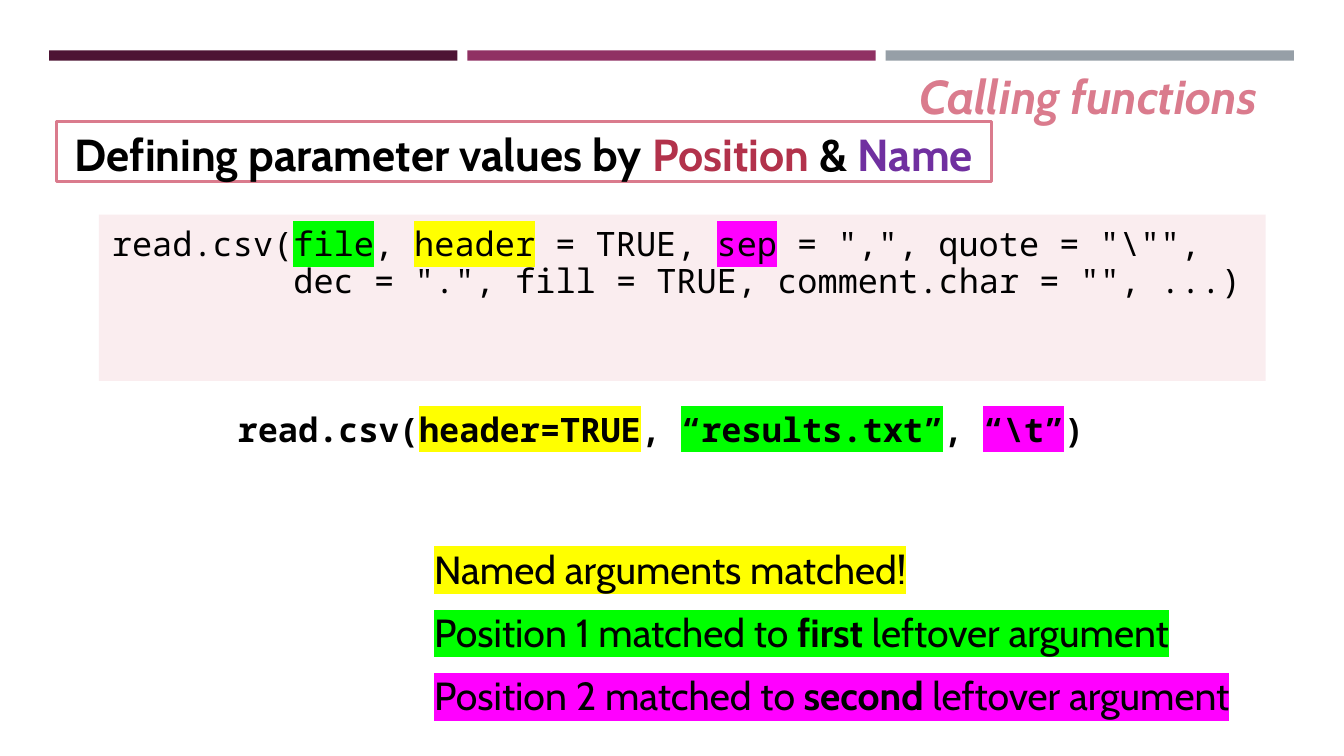
from lxml.etree import SubElement
from pptx import Presentation
from pptx.dml.color import RGBColor
from pptx.enum.shapes import MSO_SHAPE as Kind
from pptx.enum.text import MSO_ANCHOR as Anchor, PP_ALIGN as Align
from pptx.oxml import parse_xml
from pptx.oxml.ns import nsdecls, qn
from pptx.util import Cm, Pt

BLACK, ROSE = "000000", "DA7B8D"
LIME, YELLOW, PINK = "00FF00", "FFFF00", "FF00FF"


def color(code):
    return RGBColor.from_string(code)


class Deck:
    """Holds the text style and the current slide."""

    sans, mono = "Cabin", "Noto Sans Mono"

    def __init__(self):
        self.prs = Presentation()
        self.prs.slide_width, self.prs.slide_height = Cm(33.87), Cm(19.05)
        self.slide = self.prs.slides.add_slide(self.prs.slide_layouts[6])

    def rect(self, spot, fill=None, line=None, alpha=None):
        shape = self.slide.shapes.add_shape(Kind.RECTANGLE, *map(Cm, spot))
        shape.shadow.inherit = False
        if fill:
            shape.fill.solid()
            shape.fill.fore_color.rgb = color(fill)
        else:
            shape.fill.background()
        if alpha:
            tint = shape.element.spPr.find(qn("a:solidFill"))[0]
            SubElement(tint, qn("a:alpha")).set("val", str(alpha * 1000))
        if line:
            shape.line.color.rgb = color(line)
            shape.line.width = Pt(2)
        else:
            shape.line.fill.background()
        return shape

    def box(self, spot):
        return self.slide.shapes.add_textbox(*map(Cm, spot))

    def run(self, para, text, size, font, ink=BLACK, mark=None, bold=False, slant=False):
        run = para.add_run()
        run.text = text
        face = run.font
        face.size, face.name, face.bold, face.italic = Pt(size), font, bold, slant
        face.color.rgb = color(ink)
        if mark:
            glow = parse_xml(f'<a:highlight {nsdecls("a")}><a:srgbClr val="{mark}"/></a:highlight>')
            run._r.rPr.find(qn("a:solidFill")).addnext(glow)

    def label(self, shape, lines, size, font, align=Align.LEFT, inset=None, gap=0, space=None):
        frame = shape.text_frame
        frame.word_wrap = True
        frame.vertical_anchor = Anchor.TOP
        if inset:
            frame.margin_left = frame.margin_right = Cm(inset)
            frame.margin_top = frame.margin_bottom = Cm(inset)
        for num, line in enumerate(lines):
            para = frame.add_paragraph() if num else frame.paragraphs[0]
            para.alignment = align
            para.space_before = Pt(gap if num else 0)
            para.space_after = Pt(6 if gap else 0)
            if space:
                para.line_spacing = space
            for text, look in line:
                self.run(para, text, size, font, **look)

    def code(self, shape, lines):
        self.label(shape, lines, 24, self.mono, inset=0.33, space=0.9)


def main():
    deck = Deck()
    for num, fill in enumerate(["4D1434", "903163", "969FA7"]):
        deck.rect((1.24 + num * 10.54, 1.27, 10.29, 0.26), fill)

    title = deck.box((22.25, 1.57, 9.68, 1.22))
    look = dict(ink=ROSE, bold=True, slant=True)
    deck.label(title, [[("Calling functions", look)]], 34, deck.sans, Align.RIGHT)

    head = deck.rect((1.42, 3.07, 23.57, 1.5), line=ROSE)
    parts = [("Defining parameter values by ", BLACK), ("Position ", "B2324B"),
             ("& ", BLACK), ("Name", "7030A0")]
    line = [(text, dict(ink=ink, bold=True)) for text, ink in parts]
    deck.label(head, [line], 32, deck.sans, Align.CENTER)

    usage = deck.rect((2.49, 5.41, 29.41, 4.19), "E6A7B3", alpha=20)
    deck.code(usage, [
        [("read.csv(", {}), ("file", dict(mark=LIME)), (", ", {}),
         ("header", dict(mark=YELLOW)), (" = TRUE, ", {}),
         ("sep", dict(mark=PINK)), (' = ",", quote = "\\"",', {})],
        [('         dec = ".", fill = TRUE, comment.char = "", ...)', {})],
    ])

    notes = deck.box((10.69, 13.61, 23.09, 1.52))
    lines = [[("Named arguments matched!", dict(mark=YELLOW))]]
    for num, rank, mark in [(1, "first", LIME), (2, "second", PINK)]:
        lines.append([(f"Position {num} matched to ", dict(mark=mark)),
                      (rank, dict(mark=mark, bold=True)),
                      (" leftover argument", dict(mark=mark))])
    deck.label(notes, lines, 28, deck.sans, gap=5.6)

    call = deck.box((5.66, 10.08, 23.09, 2.34))
    parts = [("read.csv(", None), ("header=TRUE", YELLOW), (", ", None),
             ("“results.txt”", LIME), (", ", None), ("“\\t”", PINK), (")", None)]
    deck.code(call, [[(text, dict(mark=mark, bold=True)) for text, mark in parts]])

    deck.prs.save("out.pptx")


if __name__ == "__main__":
    main()
